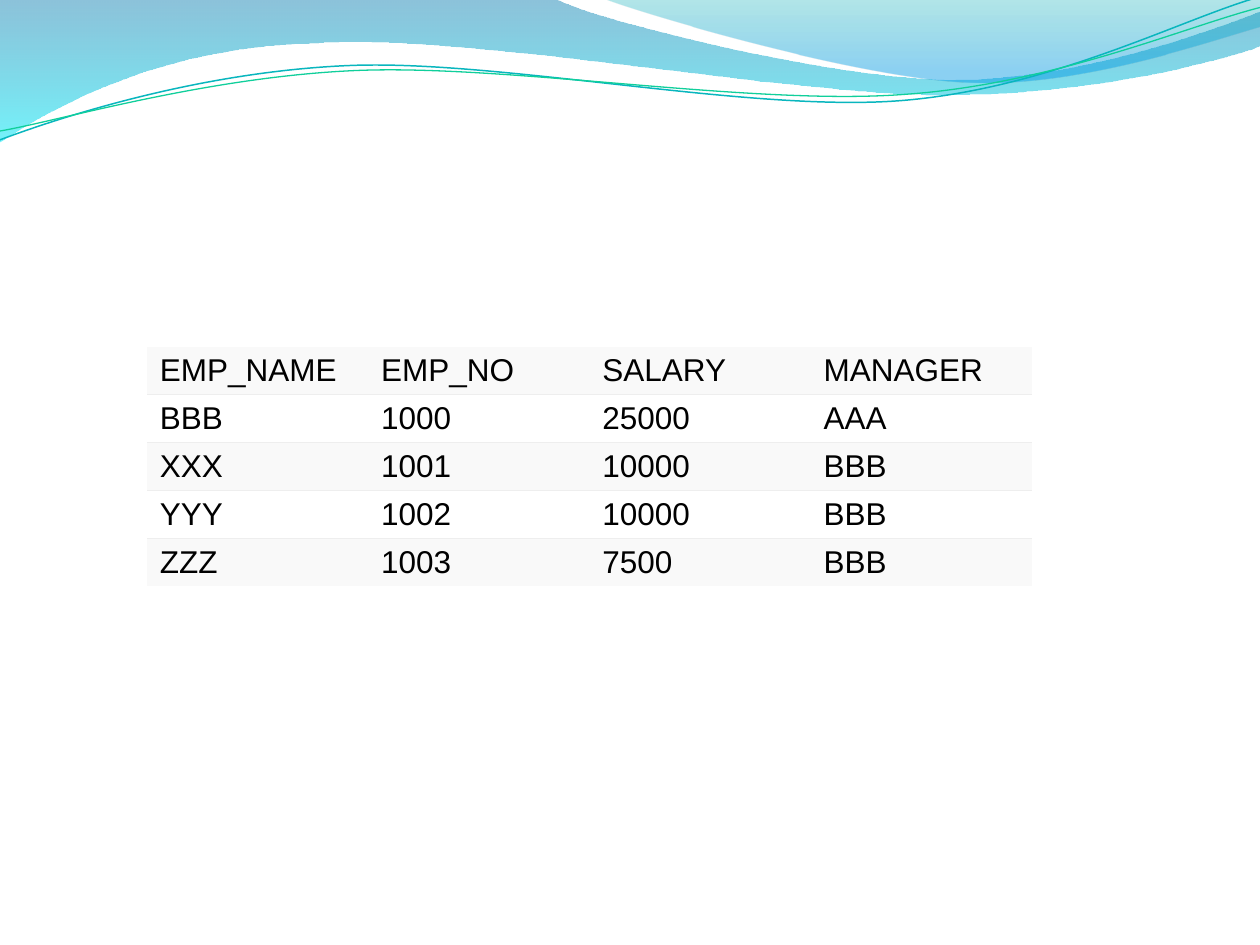
from dataclasses import dataclass
from math import cos, radians, sin

from lxml import etree
from pptx import Presentation, util as u
from pptx.dml.color import RGBColor
from pptx.enum import text as t
from pptx.oxml import ns


@dataclass(frozen=True)
class Theme:
    font: str = "Arial"
    size: int = 18
    ink: str = "000000"
    band: str = "F9F9F9"
    plain: str = "FFFFFF"
    rule: str = "EEEEEE"
    # Gradient stops: position, colour, opacity in percent
    deep: tuple = ((0, "0079AD", 45), (1, "00E9F7", 55))
    pale: tuple = ((0, "00ABB4", 30), (0.8, "0099E4", 45))
    teal: str = "09B6BE"
    green: str = "10CF9B"
    bare: str = "{2D5ABB26-0587-4C30-8999-92F81FD0307C}"  # no style, no grid


look = Theme()


def put(cell, text, font=look.font, size=look.size, color=look.ink):
    para = cell.text_frame.paragraphs[0]
    run = para.add_run()
    run.text = text
    run.font.name = font
    run.font.size = u.Pt(size)
    run.font.color.rgb = RGBColor.from_string(color)
    cell.vertical_anchor = t.MSO_ANCHOR.MIDDLE


def trace(parts, closed, turn=0, mid=(0, 0)):
    """Draw a path of points (2 numbers) and Bezier curves (6), in inches."""
    dots = []
    for part in parts:
        for x, y in zip(part[::2], part[1::2]):
            # Lay the path level; the shape's rotation tilts it again
            dx, dy = x - mid[0], y - mid[1]
            a = radians(-turn)
            x = mid[0] + dx * cos(a) - dy * sin(a)
            y = mid[1] + dx * sin(a) + dy * cos(a)
            dots.append((u.Cm(x * 2.54), u.Cm(y * 2.54)))
    pen = slide.shapes.build_freeform(*dots[0])
    pen.add_line_segments(dots[1:], close=closed)
    shape = pen.convert_to_shape()
    shape.shadow.inherit = False
    shape.rotation = turn
    # Join each run of three control points into one curve
    steps = iter(list(shape._element.iter(ns.qn("a:lnTo"))))
    for part in parts[1:]:
        first = next(steps)
        if len(part) == 6:
            first.tag = ns.qn("a:cubicBezTo")
            for step in (next(steps), next(steps)):
                first.append(step[0])
                step.getparent().remove(step)
    return shape


deck = Presentation()
deck.slide_width, deck.slide_height = u.Cm(25.4), u.Cm(19.05)
slide = deck.slides.add_slide(deck.slide_layouts[6])

# Wave bands across the top
waves = [
    (look.deep, [
        (0, 0), (4.4, -0.01),
        (4.76, 0.17, 6.64, 0.63, 7.58, 0.63),
        (8.53, 0.63, 9.58, 0.26, 10, 0.09),
        (10.01, 0.36),
        (9.83, 0.44, 8.7, 0.76, 7.46, 0.75),
        (6.22, 0.75, 3.82, 0.28, 2.57, 0.34),
        (1.29, 0.36, 0.46, 0.83, -0.01, 1.13),
    ]),
    (look.pale, [
        (4.79, -0.01),
        (5.09, 0.11, 6.82, 0.62, 7.69, 0.65),
        (8.56, 0.69, 9.61, 0.32, 10, 0.21),
        (10, 0),
    ]),
]
for stops, parts in waves:
    wave = trace(parts, True)
    wave.line.fill.background()
    wave.fill.gradient()
    wave.fill.gradient_angle = 270
    for stop, (pos, color, _) in zip(wave.fill.gradient_stops, stops):
        stop.position = pos
        stop.color.rgb = RGBColor.from_string(color)
    tints = wave._element.spPr.iter(ns.qn("a:srgbClr"))
    for tint, (_, _, alpha) in zip(tints, stops):
        etree.SubElement(tint, ns.qn("a:alpha"), val=str(alpha * 1000))

# Thin wave lines
lines = [
    (look.teal, 0.85, (4.99, 0.57), [
        (0, 1.11),
        (0.48, 0.93, 1.58, 0.57, 2.77, 0.52),
        (3.95, 0.47, 5.93, 0.89, 7.13, 0.8),
        (8.33, 0.71, 9.38, 0.15, 9.98, -0.02),
    ]),
    (look.green, 0.75, (5, 0.59), [
        (0, 1.04),
        (0.47, 0.96, 1.64, 0.61, 2.83, 0.56),
        (4.03, 0.51, 5.97, 0.84, 7.17, 0.75),
        (8.36, 0.67, 9.41, 0.21, 10, 0.06),
    ]),
]
for color, width, mid, parts in lines:
    curve = trace(parts, False, turn=-2.7, mid=mid)
    curve.fill.background()
    curve.line.color.rgb = RGBColor.from_string(color)
    curve.line.width = u.Pt(width)

# Employee table: rows grow to fit their text
data = [
    ("EMP_NAME", "EMP_NO", "SALARY", "MANAGER"),
    ("BBB", "1000", "25000", "AAA"),
    ("XXX", "1001", "10000", "BBB"),
    ("YYY", "1002", "10000", "BBB"),
    ("ZZZ", "1003", "7500", "BBB"),
]
high, wide = 0.64, 4.46
frame = slide.shapes.add_table(
    len(data), len(data[0]), u.Cm(2.97), u.Cm(6.99),
    u.Cm(wide * len(data[0])), u.Cm(high * len(data)))
table = frame.table
table.first_row = table.horz_banding = False
table._tbl.tblPr.find(ns.qn("a:tableStyleId")).text = look.bare
for col in table.columns:
    col.width = u.Cm(wide)
for r, row in enumerate(data):
    table.rows[r].height = u.Cm(high)
    # Rules between rows only
    sides = ["lnT"] * (r > 0) + ["lnB"] * (r < len(data) - 1)
    for c, word in enumerate(row):
        cell = table.cell(r, c)
        put(cell, word)
        props = cell._tc.get_or_add_tcPr()
        for side in sides:
            edge = etree.SubElement(
                props, ns.qn("a:" + side), w=str(u.Pt(0.75)))
            fill = etree.SubElement(edge, ns.qn("a:solidFill"))
            etree.SubElement(fill, ns.qn("a:srgbClr"), val=look.rule)
        cell.fill.solid()
        cell.fill.fore_color.rgb = RGBColor.from_string(
            look.plain if r % 2 else look.band)
frame.width = frame.height = u.Cm(8.33)

deck.save("out.pptx")
